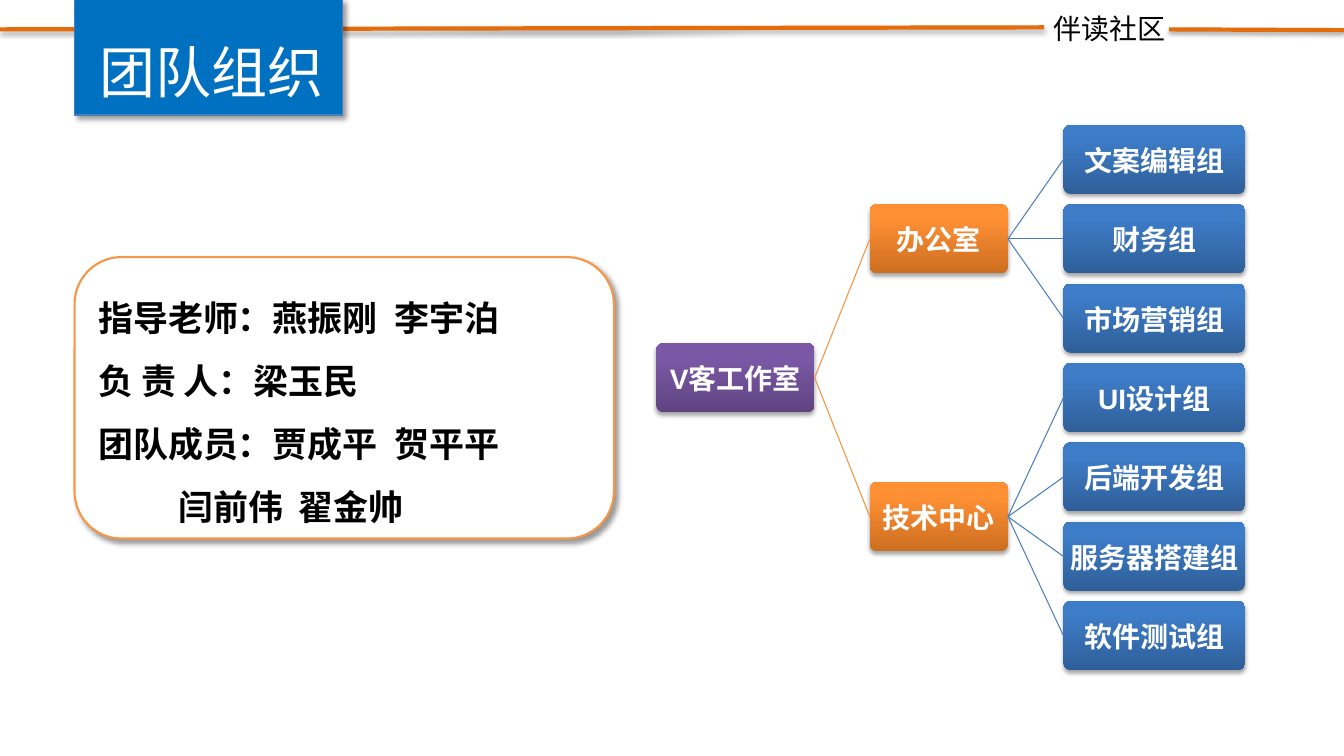
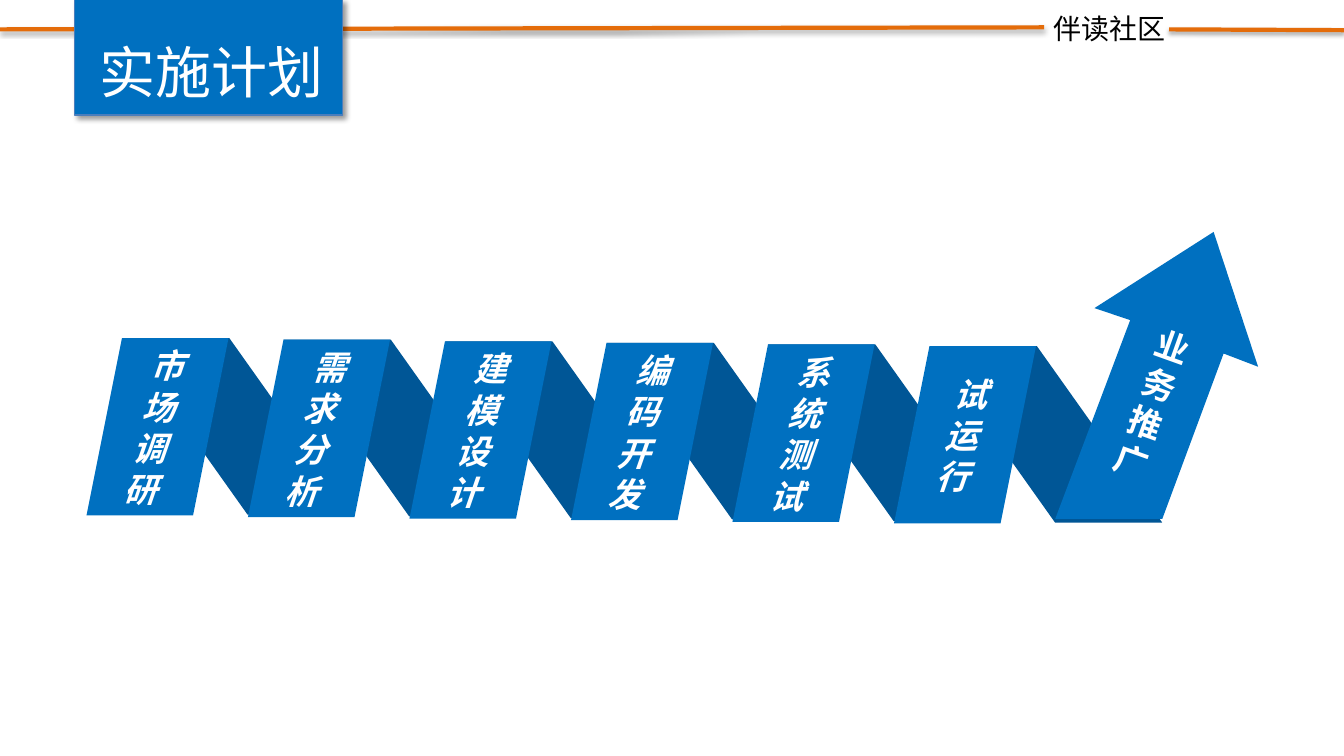
from dataclasses import dataclass
from typing import Optional, Sequence

from lxml import etree
from pptx import Presentation
from pptx.dml.color import RGBColor
from pptx.enum import shapes, text
from pptx.oxml.ns import qn
from pptx.util import Cm, Pt

# Shared look
CJK_FONT = "Noto Sans CJK SC"
BLUE, DARK_BLUE, EDGE_BLUE = "0070C0", "005696", "4B7EBC"
ORANGE, LIGHT_ORANGE, LINK_ORANGE = "E46C0A", "F79646", "F69240"
WHITE, BLACK = "FFFFFF", "000000"


@dataclass(frozen=True)
class Shadow:
    opacity: int
    blur: float
    distance: float
    angle: int


SOFT_SHADOW = Shadow(35, 3.1, 1.8, 90)
CARD_SHADOW = Shadow(40, 4, 3, 45)


@dataclass(frozen=True)
class TextStyle:
    size: float
    color: str = WHITE
    font: str = "Arial"
    bold: bool = True
    italic: bool = False
    line_height: Optional[float] = None  # points; 1.25 times the size if unset
    align: text.PP_ALIGN = text.PP_ALIGN.CENTER


TITLE = TextStyle(40, font=CJK_FONT, bold=False)
LABEL = TextStyle(20, BLACK, CJK_FONT, bold=False, align=text.PP_ALIGN.LEFT)
UNIT_TEXT = TextStyle(20)
TEAM_TEXT = TextStyle(25, BLACK, line_height=45, align=text.PP_ALIGN.LEFT)
STEP_TEXT = TextStyle(24, font="Calibri", italic=True, line_height=29.5,
                      align=text.PP_ALIGN.LEFT)
ARROW_TEXT = TextStyle(24, font="Calibri", line_height=29)


# Basic helpers
def rgb(color: str) -> RGBColor:
    return RGBColor.from_string(color)


def set_shadow(shape, shadow: Optional[Shadow] = None) -> None:
    properties = shape._element.spPr
    effects = etree.SubElement(properties, qn("a:effectLst"))
    if shadow:
        outer = etree.SubElement(
            effects, qn("a:outerShdw"), blurRad=str(Pt(shadow.blur)),
            dist=str(Pt(shadow.distance)), dir=str(shadow.angle * 60000),
            rotWithShape="0")
        color = etree.SubElement(outer, qn("a:srgbClr"), val=BLACK)
        etree.SubElement(color, qn("a:alpha"), val=str(shadow.opacity * 1000))


def paint(shape, fill: str, line: Optional[str] = None, width: float = 0.75,
          shadow: Optional[Shadow] = None) -> None:
    shape.fill.solid()
    shape.fill.fore_color.rgb = rgb(fill)
    if line:
        shape.line.color.rgb = rgb(line)
        shape.line.width = Pt(width)
    else:
        shape.line.fill.background()
    set_shadow(shape, shadow)


def add_box(slide, kind, left: float, top: float, width: float, height: float):
    return slide.shapes.add_shape(kind, Cm(left), Cm(top), Cm(width), Cm(height))


def add_outline(slide, left: float, top: float, points: Sequence[tuple], fill: str):
    corners = [(Cm(left + x), Cm(top + y)) for x, y in points]
    builder = slide.shapes.build_freeform(*corners[0])
    builder.add_line_segments(corners[1:], close=True)
    shape = builder.convert_to_shape()
    paint(shape, fill)
    return shape


def add_line(slide, start: tuple, end: tuple, color: str, width: float,
             shadow: Optional[Shadow] = None):
    line = slide.shapes.add_connector(
        shapes.MSO_CONNECTOR.STRAIGHT, *map(Cm, start), *map(Cm, end))
    line.line.color.rgb = rgb(color)
    line.line.width = Pt(width)
    set_shadow(line, shadow)
    return line


def write(shape, lines: Sequence[str], style: TextStyle,
          anchor=text.MSO_ANCHOR.MIDDLE, indents: Sequence[float] = (),
          tabs: Sequence[float] = ()) -> None:
    frame = shape.text_frame
    frame.word_wrap = True
    frame.vertical_anchor = anchor
    for index, line in enumerate(lines):
        paragraph = frame.add_paragraph() if index else frame.paragraphs[0]
        paragraph.alignment = style.align
        paragraph.line_spacing = Pt(style.line_height or style.size * 1.25)
        properties = paragraph._p.get_or_add_pPr()
        if indents:
            properties.set("marL", str(Cm(indents[index])))
        if tabs:
            stops = etree.SubElement(properties, qn("a:tabLst"))
            for tab in tabs:
                etree.SubElement(stops, qn("a:tab"), pos=str(Cm(tab)), algn="l")
        run = paragraph.add_run()
        run.text = line
        font = run.font
        font.name, font.size = style.font, Pt(style.size)
        font.bold, font.italic = style.bold, style.italic
        font.color.rgb = rgb(style.color)
        latin = run._r.rPr.find(qn("a:latin"))
        latin.addnext(latin.makeelement(qn("a:ea"), {"typeface": CJK_FONT}))


def add_label(slide, left: float, top: float, width: float, height: float,
              words: str, style: TextStyle) -> None:
    box = slide.shapes.add_textbox(Cm(left), Cm(top), Cm(width), Cm(height))
    write(box, [words], style, text.MSO_ANCHOR.TOP)


def add_titled_slide(presentation, title: str):
    slide = presentation.slides.add_slide(presentation.slide_layouts[6])
    add_line(slide, (0, 0.74), (26.31, 0.69), ORANGE, 3, SOFT_SHADOW)
    band = add_box(slide, shapes.MSO_SHAPE.RECTANGLE, 1.88, 0, 6.76, 2.9)
    paint(band, BLUE, EDGE_BLUE, shadow=CARD_SHADOW)
    add_label(slide, 2.13, 0.74, 6.38, 1.96, title, TITLE)
    add_label(slide, 26.31, 0.13, 3.43, 1.12, "伴读社区", LABEL)
    add_line(slide, (29.46, 0.74), (33.87, 0.76), ORANGE, 3, SOFT_SHADOW)
    return slide


# Team chart
@dataclass(frozen=True)
class Unit:
    name: str
    children: tuple = ()


@dataclass(frozen=True)
class Level:
    left: float
    width: float
    dark: str
    light: str
    link: str


LEVELS = (
    Level(16.54, 3.99, "5F4480", "7B58A6", ""),
    Level(21.92, 3.48, "CC6E20", "FF9034", LINK_ORANGE),
    Level(26.8, 4.58, "2F5F99", "3D7CC7", EDGE_BLUE),
)
STUDIO = Unit("V客工作室", (
    Unit("办公室", tuple(map(Unit, ("文案编辑组", "财务组", "市场营销组")))),
    Unit("技术中心", tuple(map(Unit, (
        "UI设计组", "后端开发组", "服务器搭建组", "软件测试组")))),
))
FIRST_ROW, ROW_STEP, UNIT_HEIGHT = 3.15, 2.0, 1.74


def add_unit_box(slide, name: str, level: Level, row: float):
    box = add_box(slide, shapes.MSO_SHAPE.ROUNDED_RECTANGLE, level.left,
                  FIRST_ROW + row * ROW_STEP, level.width, UNIT_HEIGHT)
    box.adjustments[0] = 0.1
    box.fill.gradient()
    box.fill.gradient_angle = 90
    for stop, color, position in zip(
            box.fill.gradient_stops, (level.dark, level.light), (0, 0.8)):
        stop.color.rgb = rgb(color)
        stop.position = position
    box.line.fill.background()
    set_shadow(box, SOFT_SHADOW)
    frame = box.text_frame
    frame.margin_left = frame.margin_right = Cm(0.08)
    frame.margin_top = frame.margin_bottom = Cm(0.08)
    write(box, [name], UNIT_TEXT)
    return box


def add_unit(slide, unit: Unit, depth: int = 0, first_row: float = 0) -> tuple:
    """Draw a unit centred on its children; return its box, row and next free row."""
    children, next_row = [], first_row
    for child in unit.children:
        box, row, next_row = add_unit(slide, child, depth + 1, next_row)
        children.append((box, row))
    if children:
        own_row = (children[0][1] + children[-1][1]) / 2
    else:
        own_row, next_row = first_row, first_row + 1
    own_box = add_unit_box(slide, unit.name, LEVELS[depth], own_row)
    for box, _ in children:
        link = add_line(slide, (0, 0), (1, 1), LEVELS[depth + 1].link, 0.75)
        link.begin_connect(own_box, 3)
        link.end_connect(box, 1)
    return own_box, own_row, next_row


def build_team_slide(presentation) -> None:
    slide = add_titled_slide(presentation, "团队组织")
    add_unit(slide, STUDIO)
    card = add_box(slide, shapes.MSO_SHAPE.ROUNDED_RECTANGLE, 1.88, 6.48, 13.59, 7.09)
    paint(card, WHITE, LIGHT_ORANGE, 1.5, CARD_SHADOW)
    write(card, ["指导老师：燕振刚\t李宇泊", "负 责 人：梁玉民",
                 "团队成员：贾成平\t贺平平", "\t闫前伟\t翟金帅"],
          TEAM_TEXT, text.MSO_ANCHOR.TOP, tabs=(2.02, 5.05, 7.47))


# Plan ribbon
STEPS = ("市场调研", "需求分析", "建模设计", "编码开发", "系统测试", "试运行")
STEP_LEFT, STEP_TOP, STEP_PITCH, STEP_DROP = 2.18, 8.52, 4.07, 0.04
FOLD = ((0, 0), (3.16, 4.45), (5.86, 4.45), (2.7, 0))
ARROW = ((2.18, 0), (4.38, 2.82), (3.45, 2.8), (3.4, 7.24), (0.86, 8.15),
         (0.95, 2.8), (0, 2.82))
SLANT = 0.23  # sideways shift of each character, in cm


def build_plan_slide(presentation) -> None:
    slide = add_titled_slide(presentation, "实施计划")
    corners = [(STEP_LEFT + i * STEP_PITCH, STEP_TOP + i * STEP_DROP)
               for i in range(len(STEPS))]
    for left, top in corners:
        add_outline(slide, left + 0.9, top, FOLD, DARK_BLUE)
    for (left, top), step in zip(corners, STEPS):
        panel = add_box(slide, shapes.MSO_SHAPE.PARALLELOGRAM, left, top, 3.58, 4.47)
        paint(panel, BLUE)
        middle = (len(step) - 1) / 2
        write(panel, step, STEP_TEXT,
              indents=[0.35 + SLANT * (middle - i) for i in range(len(step))])
    arrow = add_outline(slide, 27.03, 5.61, ARROW, BLUE)
    arrow.rotation = 19.7
    arrow.text_frame.margin_top = Cm(1.15)
    write(arrow, "业务推广", ARROW_TEXT)


def main() -> None:
    presentation = Presentation()
    presentation.slide_width, presentation.slide_height = Cm(33.87), Cm(19.05)
    build_team_slide(presentation)
    build_plan_slide(presentation)
    presentation.save("out.pptx")


if __name__ == "__main__":
    main()
